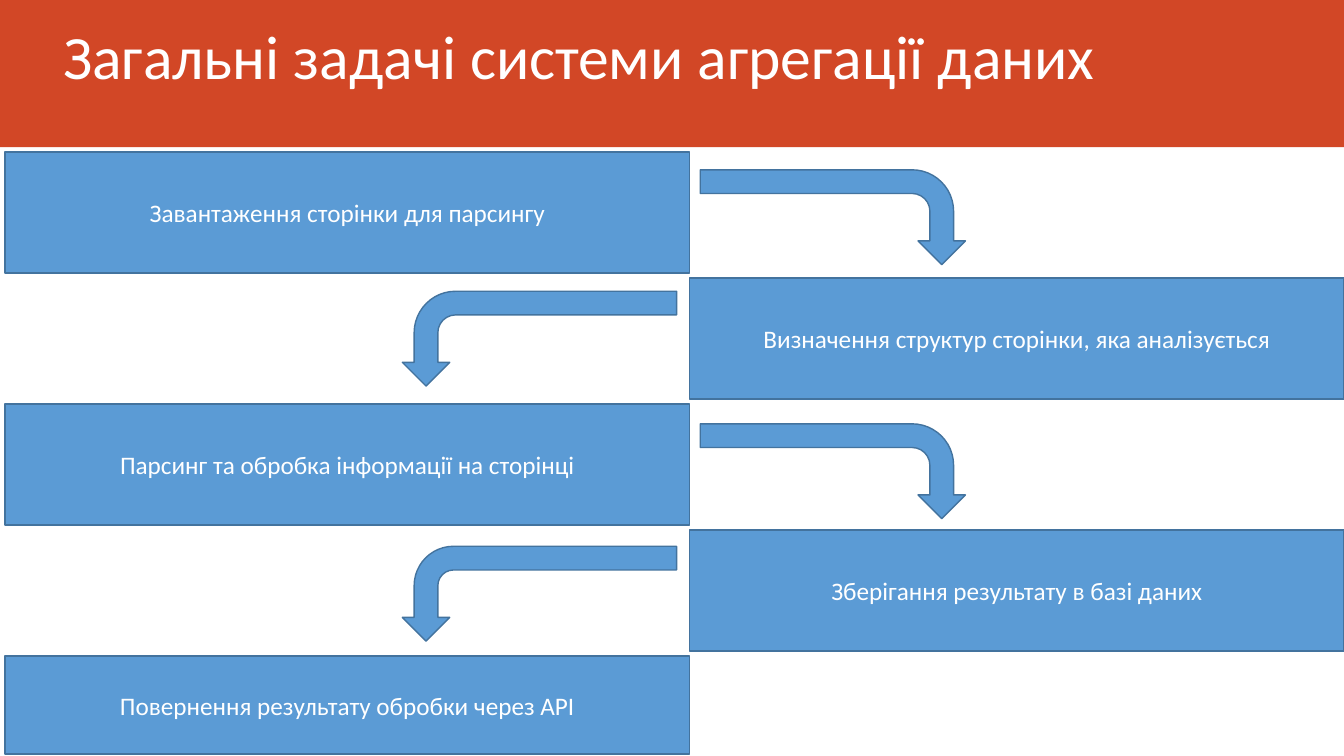
from dataclasses import dataclass

from pptx import Presentation
from pptx.dml.color import RGBColor
from pptx.enum.shapes import MSO_SHAPE
from pptx.enum.text import MSO_ANCHOR, PP_ALIGN
from pptx.shapes.autoshape import Shape
from pptx.slide import Slide
from pptx.util import Inches, Pt

RECT = MSO_SHAPE.RECTANGLE
BENT = MSO_SHAPE.BENT_ARROW
MIDDLE = MSO_ANCHOR.MIDDLE
LEFT = PP_ALIGN.LEFT
CENTER = PP_ALIGN.CENTER


@dataclass(frozen=True)
class Theme:
    font: str = "Calibri"
    white: RGBColor = RGBColor(0xFF, 0xFF, 0xFF)
    red: RGBColor = RGBColor(0xD2, 0x47, 0x26)
    blue: RGBColor = RGBColor(0x5B, 0x9B, 0xD5)
    edge: RGBColor = RGBColor(0x43, 0x73, 0x9E)
    title: Pt = Pt(44)
    body: Pt = Pt(18)
    line: Pt = Pt(1)


@dataclass(frozen=True)
class Step:
    text: str
    height: float = 1.2


@dataclass(frozen=True)
class Arrow:
    left: float
    top: float
    length: float
    flip: bool = False
    bend: float = 0.4375


THEME = Theme()
WIDTH = 13.33
TOP = 1.51
PITCH = 1.25
SIDES = ((0.05, 6.79), (6.84, 6.49))
GIRTH = 0.94

STEPS = (
    Step("Завантаження сторінки для парсингу"),
    Step("Визначення структур сторінки, яка аналізується"),
    Step("Парсинг та обробка інформації на сторінці"),
    Step("Зберігання результату в базі даних"),
    Step("Повернення результату обробки через API", 0.97),
)
ARROWS = (
    Arrow(7.79, 0.84, 2.63),
    Arrow(4.88, 2, 2.72, flip=True),
    Arrow(7.79, 3.36, 2.63),
    Arrow(4.88, 4.53, 2.72, flip=True, bend=0.416),
)


def apply(target: object, values: dict) -> None:
    for name, value in values.items():
        setattr(target, name, value)


def write(shape: Shape, text: str, size: Pt, align: PP_ALIGN, space: float) -> None:
    frame = shape.text_frame
    apply(frame, {"word_wrap": True, "vertical_anchor": MIDDLE})
    para = frame.paragraphs[0]
    apply(para, {"alignment": align, "line_spacing": space})
    run = para.add_run()
    run.text = text
    apply(run.font, {"name": THEME.font, "size": size})
    run.font.color.rgb = THEME.white


def block(slide: Slide, kind: MSO_SHAPE, box: tuple[float, ...], fill: RGBColor) -> Shape:
    shape = slide.shapes.add_shape(kind, *map(Inches, box))
    shape.shadow.inherit = False
    shape.fill.solid()
    shape.fill.fore_color.rgb = fill
    shape.line.color.rgb = THEME.edge
    shape.line.width = THEME.line
    return shape


def head(slide: Slide) -> None:
    band = block(slide, RECT, (0, 0, WIDTH, 1.46), THEME.red)
    band.line.fill.background()
    title = slide.shapes.add_textbox(*map(Inches, (0.53, 0, 12.37, 1.18)))
    write(title, "Загальні задачі системи агрегації даних", THEME.title, LEFT, 0.9)


def draw_step(slide: Slide, index: int, step: Step) -> None:
    left, width = SIDES[index % 2]
    box = (left, TOP + index * PITCH, width, step.height)
    write(block(slide, RECT, box, THEME.blue), step.text, THEME.body, CENTER, 1.0)


def draw_arrow(slide: Slide, arrow: Arrow) -> None:
    box = (arrow.left, arrow.top, GIRTH, arrow.length)
    shape = block(slide, BENT, box, THEME.blue)
    shape.rotation = 90
    shape.adjustments[3] = arrow.bend
    if arrow.flip:
        shape.element.spPr.xfrm.set("flipV", "1")


def main() -> None:
    deck = Presentation()
    apply(deck, {"slide_width": Inches(WIDTH), "slide_height": Inches(7.5)})
    slide = deck.slides.add_slide(deck.slide_layouts[6])
    head(slide)
    for index, step in enumerate(STEPS):
        draw_step(slide, index, step)
    for arrow in ARROWS:
        draw_arrow(slide, arrow)
    deck.save("out.pptx")


if __name__ == "__main__":
    main()
